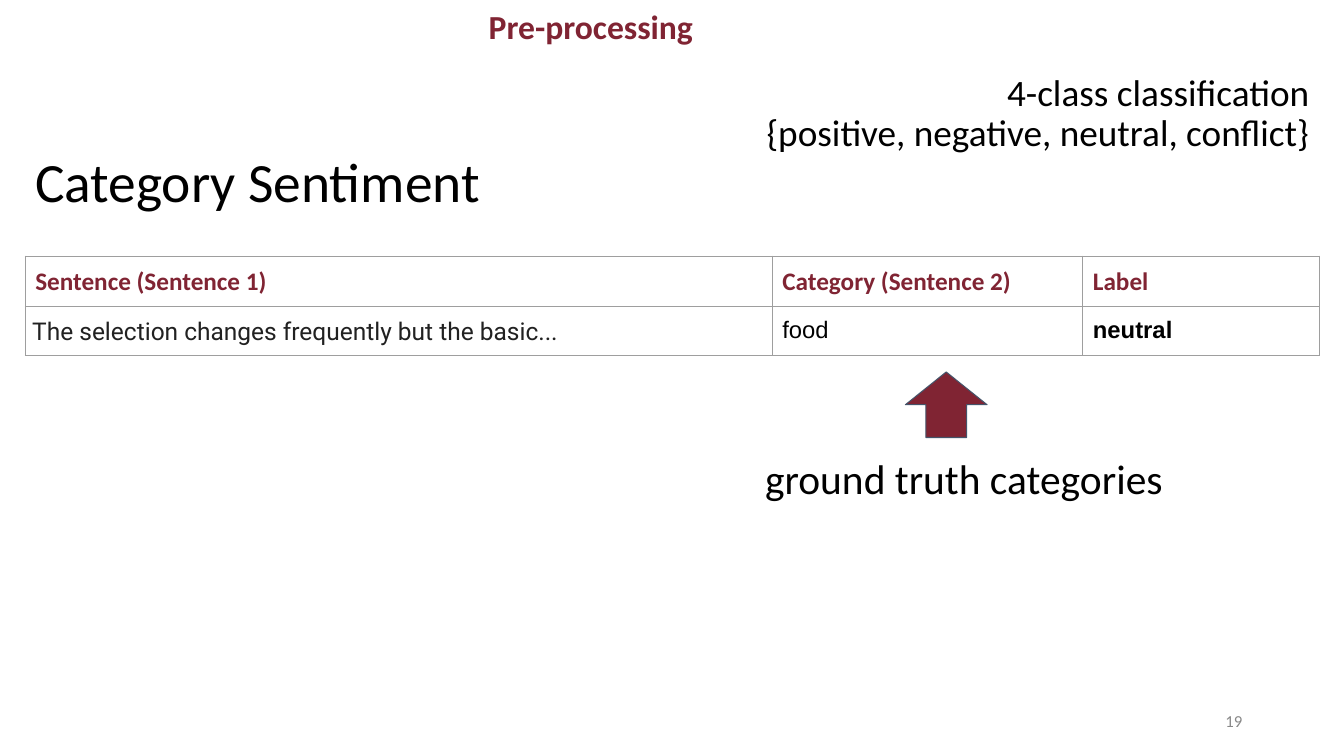
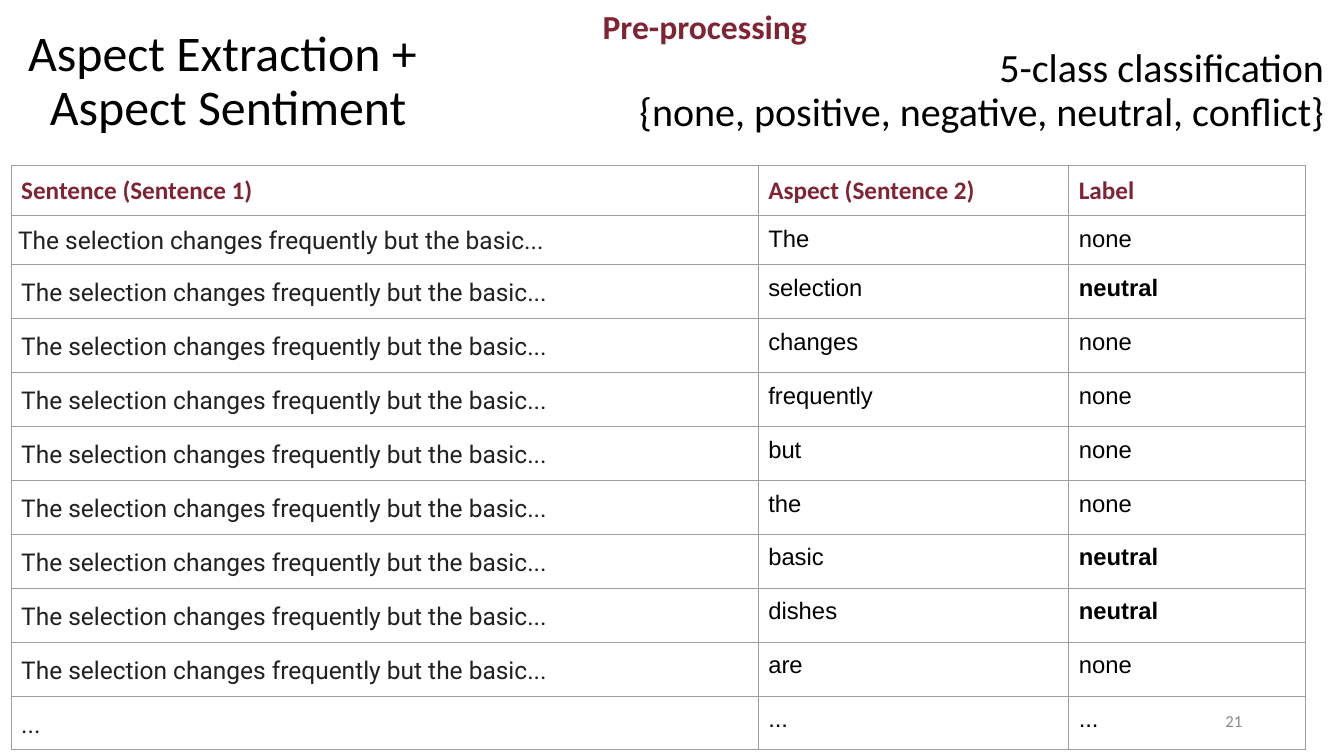
import pptx
import pptx.util
import pptx.dml.color
import pptx.enum.shapes
import pptx.enum.text
import pptx.oxml
import pptx.oxml.ns
from dataclasses import dataclass
from lxml import etree

Inches = pptx.util.Inches
Pt = pptx.util.Pt
ALIGN = pptx.enum.text.PP_ALIGN
ANCHOR = pptx.enum.text.MSO_ANCHOR


@dataclass(frozen=True)
class Theme:
    accent: str = "802433"
    black: str = "000000"
    sentence: str = "212121"
    grey: str = "888888"
    rule: str = "9E9E9E"
    arrow_line: str = "44546A"
    heading_font: str = "Calibri"
    sentence_font: str = "Roboto"
    cell_font: str = "Arial"
    band_size: float = 24
    head_size: float = 18
    sentence_size: float = 17.5
    cell_size: float = 17
    number_size: float = 12
    line_width: float = 0.75
    line_spacing: float = 0.9
    inset: float = 0.1


T = Theme()
COLUMNS = (7.41, 3.08, 2.35)
SENTENCE = "The selection changes frequently but the basic..."


def rgb(color):
    return pptx.dml.color.RGBColor.from_string(color)


def style_text(tf, size, color=T.black, font=T.heading_font, bold=False,
               align=ALIGN.LEFT, spacing=1.0, before=0):
    for p in tf.paragraphs:
        p.alignment = align
        p.line_spacing = spacing
        p.space_before = Pt(before)
        for r in p.runs:
            r.font.size = Pt(size)
            r.font.name = font
            r.font.bold = bold
            r.font.color.rgb = rgb(color)


def add_text(s, box, text, size, anchor=ANCHOR.MIDDLE, inset_y=0.05,
             spacing=T.line_spacing, **style):
    tf = s.shapes.add_textbox(*map(Inches, box)).text_frame
    tf.word_wrap = True
    tf.vertical_anchor = anchor
    tf.margin_left = tf.margin_right = Inches(T.inset)
    tf.margin_top = tf.margin_bottom = Inches(inset_y)
    tf.text = text
    style_text(tf, size, spacing=spacing, **style)


# Parts shared by the slides
def add_frame(prs, number, band_left):
    s = prs.slides.add_slide(prs.slide_layouts[6])
    add_text(s, (9.42, 6.95, 3, 0.4), number, T.number_size,
             color=T.grey, align=ALIGN.RIGHT, spacing=1.0)
    add_text(s, (band_left, 0, 13.12, 0.57), "Pre-processing", T.band_size,
             anchor=ANCHOR.TOP, inset_y=T.inset, color=T.accent, bold=True,
             align=ALIGN.CENTER, before=5)
    return s


def set_borders(cell):
    tcPr = cell._tc.get_or_add_tcPr()
    for side in ("a:lnL", "a:lnR", "a:lnT", "a:lnB"):
        ln = etree.SubElement(tcPr, pptx.oxml.ns.qn(side), w=str(Pt(T.line_width)))
        fill = etree.SubElement(ln, pptx.oxml.ns.qn("a:solidFill"))
        etree.SubElement(fill, pptx.oxml.ns.qn("a:srgbClr"), val=T.rule)


def fill_cell(cell, text, inset=T.inset, **style):
    set_borders(cell)
    cell.fill.background()
    cell.margin_left = cell.margin_right = Inches(inset)
    cell.margin_top = cell.margin_bottom = Inches(inset)
    cell.text = text
    style_text(cell.text_frame, **style)


def add_samples(s, left, top, kind, samples):
    """Table of sentence, category or aspect, and label."""
    heights = [0.49, 0.48] + [0.53] * (len(samples) - 1)
    frame = s.shapes.add_table(len(heights), len(COLUMNS), Inches(left), Inches(top),
                               Inches(sum(COLUMNS)), Inches(sum(heights)))
    table = frame.table
    table.first_row = table.horz_banding = False
    for column, width in zip(table.columns, COLUMNS):
        column.width = Inches(width)
    for row, height in zip(table.rows, heights):
        row.height = Inches(height)

    # Header row
    heads = ("Sentence (Sentence 1)", f"{kind} (Sentence 2)", "Label")
    for c, head in enumerate(heads):
        fill_cell(table.cell(0, c), head, size=T.head_size, color=T.accent, bold=True)

    # Sample rows
    for i, (sentence, word, label) in enumerate(samples, 1):
        fill_cell(table.cell(i, 0), sentence, inset=0.07 if i == 1 else T.inset,
                  size=T.sentence_size, color=T.sentence, font=T.sentence_font,
                  spacing=1.15)
        fill_cell(table.cell(i, 1), word, size=T.cell_size, font=T.cell_font)
        fill_cell(table.cell(i, 2), label, size=T.cell_size, font=T.cell_font,
                  bold=label == "neutral")


def add_up_arrow(s, box):
    sp = s.shapes.add_shape(pptx.enum.shapes.MSO_SHAPE.UP_ARROW, *map(Inches, box))
    sp.shadow.inherit = False
    sp.fill.solid()
    sp.fill.fore_color.rgb = rgb(T.accent)
    sp.line.color.rgb = rgb(T.arrow_line)
    sp.line.width = Pt(T.line_width)


def category_slide(prs):
    s = add_frame(prs, "19", band_left=-0.7)
    add_text(s, (0.25, 1.4, 4.76, 0.87), "Category Sentiment", 39.6)
    add_text(s, (7.41, 0.7, 5.68, 0.87),
             "4-class classification\n{positive, negative, neutral, conflict}",
             26.6, align=ALIGN.RIGHT)
    add_samples(s, 0.25, 2.54, "Category", [(SENTENCE, "food", "neutral")])
    # Callout under the category column
    add_up_arrow(s, (8.98, 3.69, 0.81, 0.65))
    add_text(s, (7.49, 4.34, 4.37, 0.87), "ground truth categories", 29.6)


def aspect_slide(prs):
    s = add_frame(prs, "21", band_left=0.43)
    add_text(s, (0.11, 0, 4.31, 1.64), "Aspect Extraction + \nAspect Sentiment",
             35.6, align=ALIGN.CENTER)
    words = "The selection changes frequently but the basic dishes are".split()
    aspects = ("selection", "basic", "dishes")
    samples = [(SENTENCE, w, "neutral" if w in aspects else "none") for w in words]
    add_samples(s, 0.11, 1.64, "Aspect", samples + [("...",) * 3])
    add_text(s, (6.02, 0.38, 7.21, 1.07),
             "5-class classification\n{none, positive, negative, neutral, conflict}",
             28.6, anchor=ANCHOR.TOP, inset_y=T.inset, align=ALIGN.RIGHT)


def main():
    prs = pptx.Presentation()
    prs.slide_width, prs.slide_height = Inches(13.33), Inches(7.5)
    category_slide(prs)
    aspect_slide(prs)
    prs.save("out.pptx")


if __name__ == "__main__":
    main()
